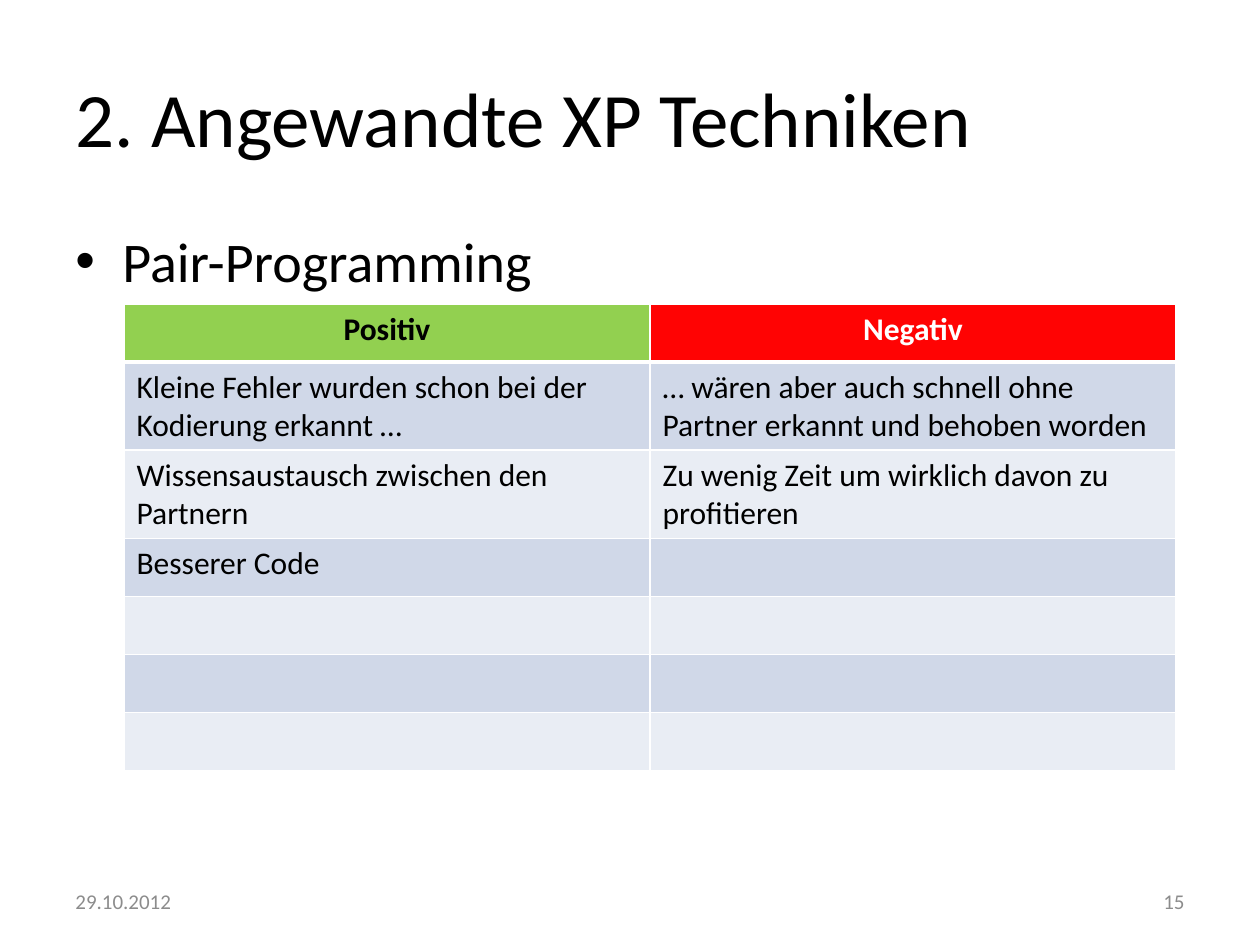
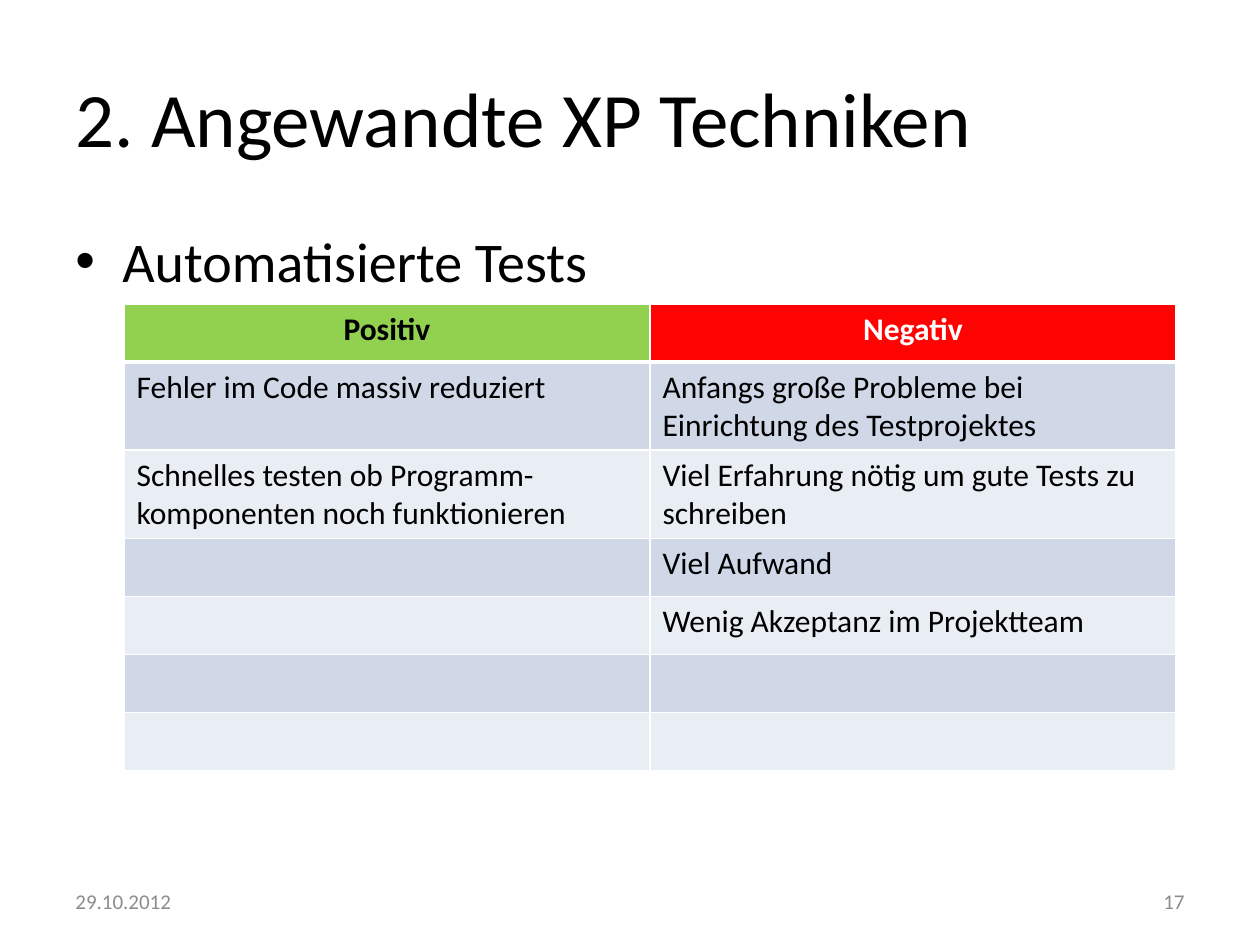
from lxml import etree
from pptx import Presentation
from pptx import util as u
from pptx.dml.color import RGBColor
from pptx.enum import text
from pptx.oxml.ns import qn

FONT = "Calibri"
BLACK = RGBColor(0x00, 0x00, 0x00)
WHITE = RGBColor(0xFF, 0xFF, 0xFF)
GREY = RGBColor(0x8C, 0x8C, 0x8C)
GREEN = RGBColor(0x92, 0xD0, 0x50)
RED = RGBColor(0xFF, 0x03, 0x03)
BANDS = (RGBColor(0xD0, 0xD8, 0xE8), RGBColor(0xE9, 0xED, 0xF4))

TITLE = "2. Angewandte XP Techniken"
DATE = "29.10.2012"
HEADINGS = (("Positiv", BLACK, GREEN), ("Negativ", WHITE, RED))
BODY_ROWS = 6
ROW_HEIGHT = 58

TITLE_BOX = (63, 38, 1134, 158)
TOPIC_BOX = (63, 220, 1134, 624)
FOOTER_BOX = (63, 876, 1134, 50)
TABLE_BOX = (124, 304, 1052, ROW_HEIGHT * (BODY_ROWS + 1))

TECHNIQUES = (
    ("Pair-Programming", "15", (
        ("Kleine Fehler wurden schon bei der Kodierung erkannt …",
         "… wären aber auch schnell ohne Partner erkannt und behoben worden"),
        ("Wissensaustausch zwischen den Partnern",
         "Zu wenig Zeit um wirklich davon zu profitieren"),
        ("Besserer Code", ""),
    )),
    ("Automatisierte Tests", "17", (
        ("Fehler im Code massiv reduziert",
         "Anfangs große Probleme bei Einrichtung des Testprojektes"),
        ("Schnelles testen ob Programm-komponenten noch funktionieren",
         "Viel Erfahrung nötig um gute Tests zu schreiben"),
        ("", "Viel Aufwand"),
        ("", "Wenig Akzeptanz im Projektteam"),
    )),
)


def px(length):
    """Turn whole pixels into EMU at 126 pixels to the inch."""
    return u.Emu(length * 914400 // 126)


def write(frame, words, size, color, bold=False, align=text.PP_ALIGN.LEFT):
    """Write one formatted paragraph and return it."""
    paragraph = frame.paragraphs[0]
    paragraph.alignment = align
    run = paragraph.add_run()
    run.text = words
    run.font.color.rgb = color
    looks = {"name": FONT, "size": u.Pt(size), "bold": bold}
    for key, value in looks.items():
        setattr(run.font, key, value)
    return paragraph


def add_words(slide, box, words, size, color=BLACK,
              anchor=text.MSO_ANCHOR.MIDDLE, align=text.PP_ALIGN.LEFT):
    """Place a wrapping line of text in a box and return its paragraph."""
    frame = slide.shapes.add_textbox(*map(px, box)).text_frame
    frame.word_wrap = True
    frame.vertical_anchor = anchor
    return write(frame, words, size, color, align=align)


def add_topic(slide, box, topic):
    """Place the bulleted name of the technique."""
    paragraph = add_words(slide, box, topic, 32, anchor=text.MSO_ANCHOR.TOP)
    layout = paragraph._p.get_or_add_pPr()
    indent = px(47)
    layout.set("marL", str(indent))
    layout.set("indent", str(-indent))
    spacing = etree.SubElement(layout, qn("a:spcBef"))
    etree.SubElement(spacing, qn("a:spcPct"), val="20000")
    etree.SubElement(layout, qn("a:buFont"), typeface="Arial")
    etree.SubElement(layout, qn("a:buChar"), char="•")


def add_footer(slide, box, number):
    """Place the date at the left end and the page number at the right end."""
    left, top, width, height = box
    part = 294
    add_words(slide, (left, top, part, height), DATE, 12, GREY)
    add_words(slide, (left + width - part, top, part, height), number, 12, GREY,
              align=text.PP_ALIGN.RIGHT)


def style_cell(cell, fill, top=1, bottom=1):
    """Give a cell white borders, in points, and a solid fill."""
    widths = {"a:lnL": 1, "a:lnR": 1, "a:lnT": top, "a:lnB": bottom}
    for side, width in widths.items():
        line = etree.SubElement(cell._tc.get_or_add_tcPr(), qn(side),
                                w=str(u.Pt(width)))
        paint = etree.SubElement(line, qn("a:solidFill"))
        etree.SubElement(paint, qn("a:srgbClr"), val=str(WHITE))
    cell.fill.solid()
    cell.fill.fore_color.rgb = fill


def add_comparison(slide, box, points):
    """Place the table of positive and negative points."""
    table = slide.shapes.add_table(BODY_ROWS + 1, len(HEADINGS),
                                   *map(px, box)).table
    table.first_row = table.horz_banding = False
    for column, (heading, color, fill) in enumerate(HEADINGS):
        head = table.cell(0, column)
        style_cell(head, fill, bottom=3)
        write(head.text_frame, heading, 18, color, True, text.PP_ALIGN.CENTER)
        for row in range(BODY_ROWS):
            cell = table.cell(row + 1, column)
            style_cell(cell, BANDS[row % 2], top=1 if row else 3)
            if row < len(points) and points[row][column]:
                write(cell.text_frame, points[row][column], 18, BLACK)


def add_technique(deck, topic, number, points):
    """Add one slide that weighs up a technique."""
    slide = deck.slides.add_slide(deck.slide_layouts[6])
    add_words(slide, TITLE_BOX, TITLE, 44)
    add_topic(slide, TOPIC_BOX, topic)
    add_footer(slide, FOOTER_BOX, number)
    add_comparison(slide, TABLE_BOX, points)


def main():
    """Build and save the deck."""
    deck = Presentation()
    deck.slide_width, deck.slide_height = px(1260), px(945)
    for technique in TECHNIQUES:
        add_technique(deck, *technique)
    deck.save("out.pptx")


if __name__ == "__main__":
    main()
